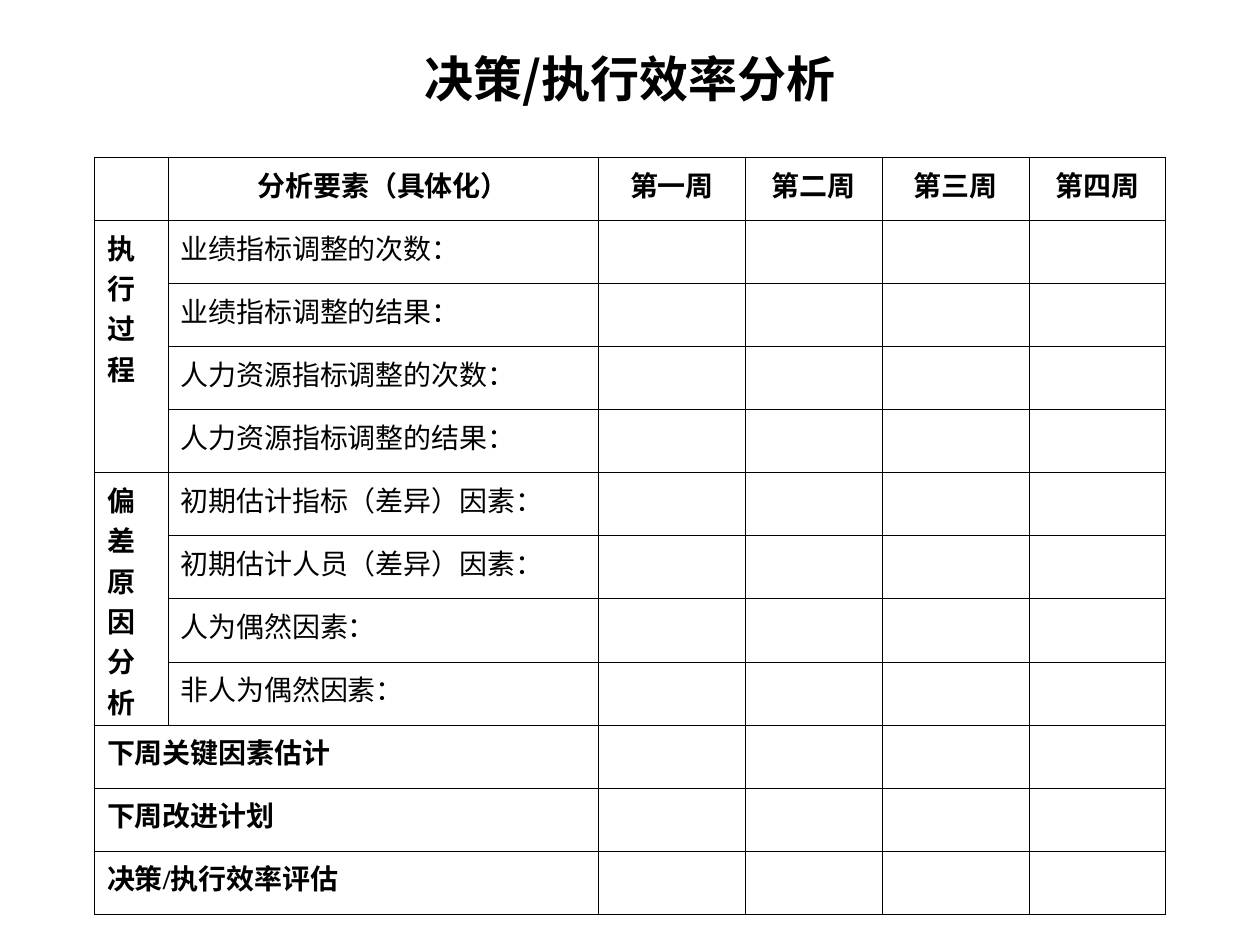
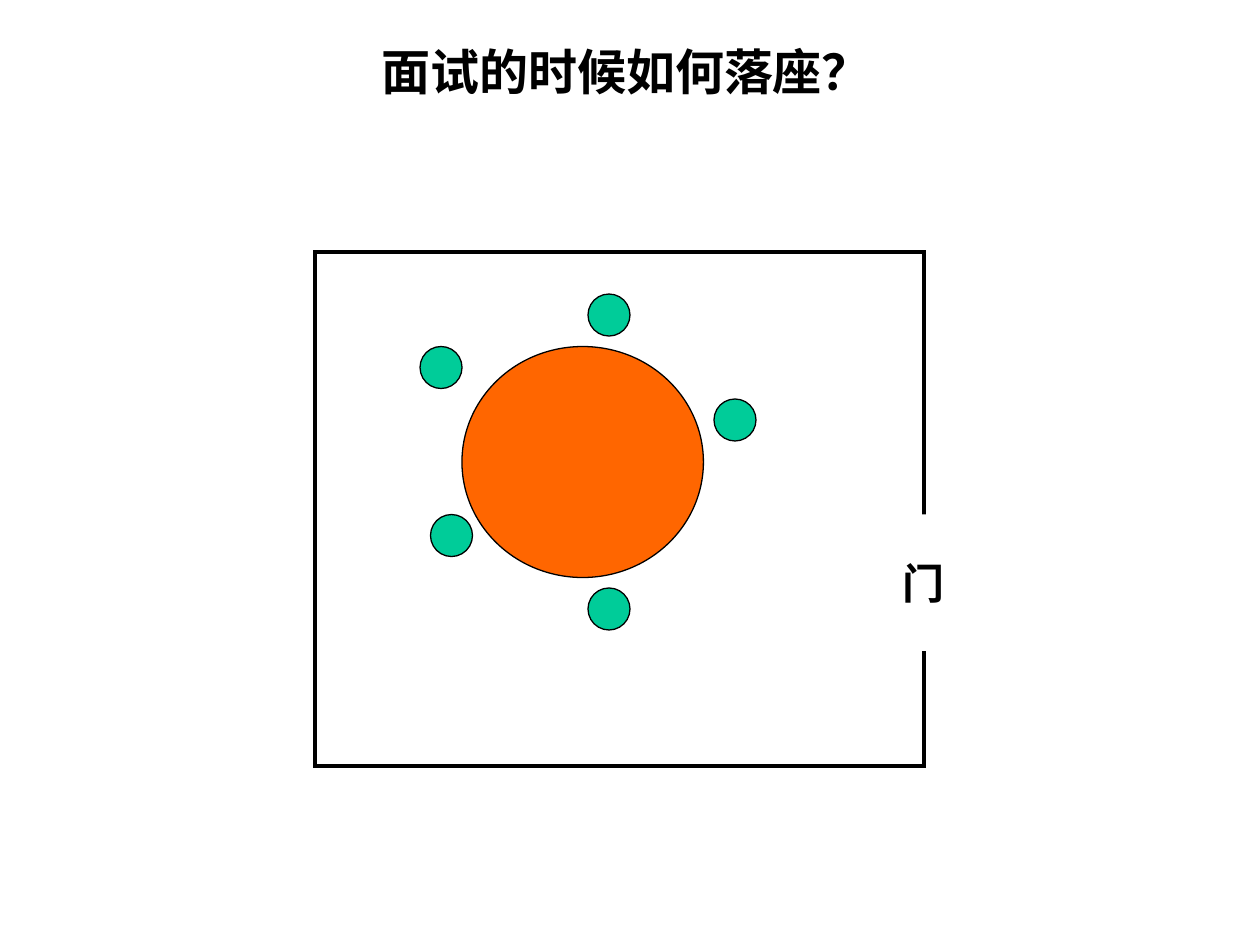
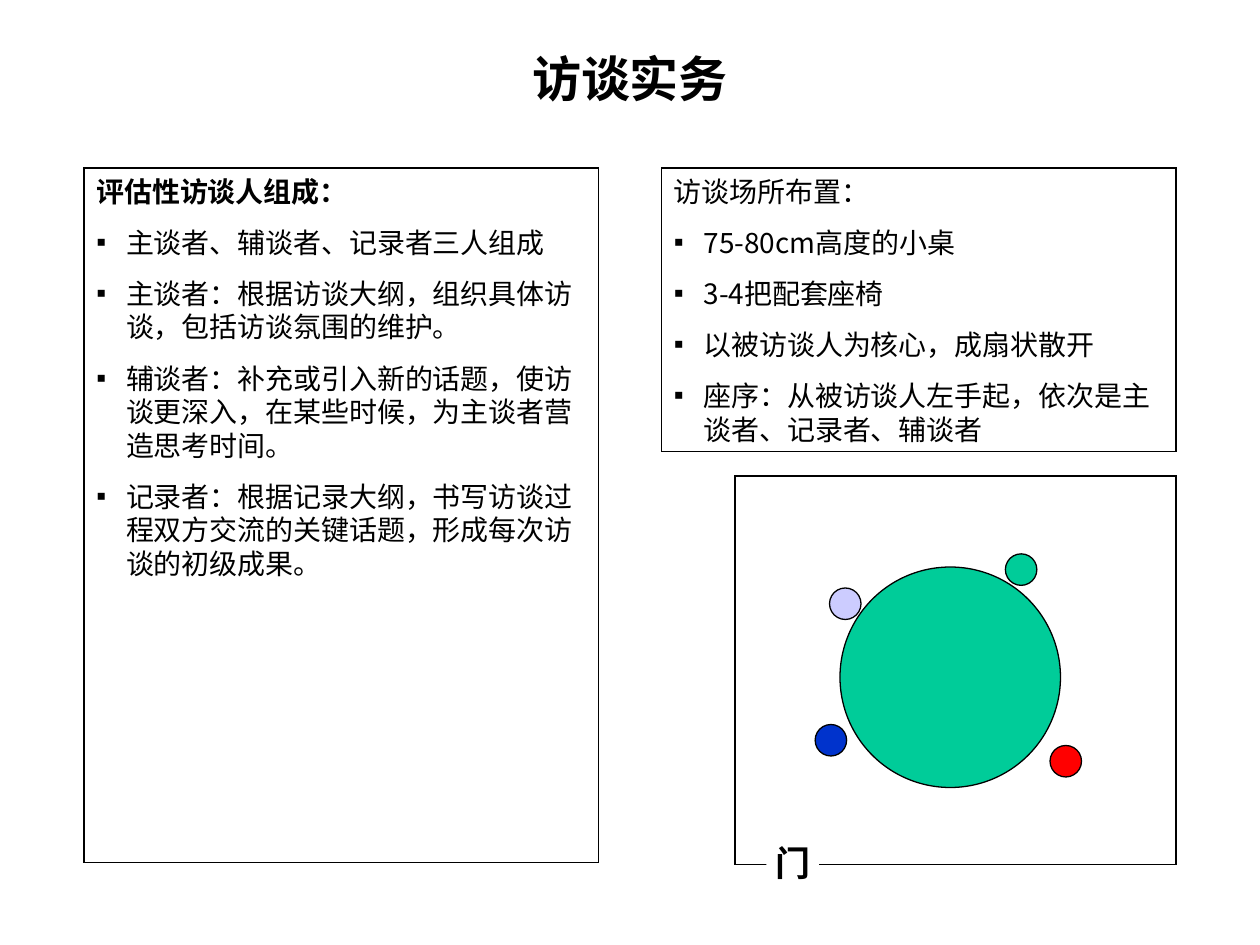
"""Build three slides on decision efficiency and interview practice."""
from lxml.etree import SubElement
from pptx import Presentation
from pptx.dml.color import RGBColor
from pptx.enum.shapes import MSO_SHAPE
from pptx.enum.text import MSO_ANCHOR, MSO_AUTO_SIZE, PP_ALIGN
from pptx.oxml.ns import qn
from pptx.util import Pt

COLORS = {"ink": "000000", "paper": "FFFFFF", "orange": "FF6600", "green": "00CC99",
          "red": "FF0000", "blue": "0033CC", "lilac": "CCCCFF"}
SANS, SERIF = "Noto Sans CJK SC", "Times New Roman"


def write(paragraph, text, size, font=SANS, bold=False, align=PP_ALIGN.LEFT):
    """Add one run of dark text to a paragraph."""
    paragraph.alignment = align
    run = paragraph.add_run()
    run.text = text
    run.font.size, run.font.name, run.font.bold = Pt(size), font, bold
    run.font.color.rgb = RGBColor.from_string(COLORS["ink"])
    SubElement(run.font._element, qn("a:ea"), typeface=SANS)


def draw(shapes, preset, bounds, fill=None, line_width=0.75):
    """Draw a preset shape at left, top, width and height."""
    shape = shapes.add_shape(preset, *map(Pt, bounds))
    shape.shadow.inherit = False
    if fill:
        shape.fill.solid()
        shape.fill.fore_color.rgb = RGBColor.from_string(COLORS[fill])
    else:
        shape.fill.background()
    if line_width:
        shape.line.width = Pt(line_width)
        shape.line.color.rgb = RGBColor.from_string(COLORS["ink"])
        SubElement(shape.line._get_or_add_ln(), qn("a:miter"), lim="800000")
    else:
        shape.line.fill.background()
    return shape


prs = Presentation()
prs.slide_width, prs.slide_height = Pt(720), Pt(540)

slides = []
for heading, bounds, align, wrap in [
    ("决策/执行效率分析", (84, 24, 552, 41), PP_ALIGN.CENTER, True),
    ("面试的时候如何落座？", (210.8, 20, 294, 41), PP_ALIGN.LEFT, False),
    ("访谈实务", (126, 24, 468, 41), PP_ALIGN.CENTER, True),
]:
    slide = prs.slides.add_slide(prs.slide_layouts[5])
    title = slide.shapes.title
    title.left, title.top, title.width, title.height = map(Pt, bounds)
    title.text_frame.auto_size = MSO_AUTO_SIZE.NONE
    title.text_frame.word_wrap = wrap
    title.text_frame.vertical_anchor = MSO_ANCHOR.MIDDLE
    write(title.text_frame.paragraphs[0], heading, 28, bold=True, align=align)
    slides.append(slide)
efficiency, seating, practice = slides

headers = ["", "分析要素（具体化）", "第一周", "第二周", "第三周", "第四周"]
sections = [
    ("执行过程", ["业绩指标调整的次数：", "业绩指标调整的结果：",
              "人力资源指标调整的次数：", "人力资源指标调整的结果："]),
    ("偏差原因分析", ["初期估计指标（差异）因素：", "初期估计人员（差异）因素：",
                "人为偶然因素：", "非人为偶然因素："]),
]
summaries = ["下周关键因素估计", "下周改进计划", "决策/执行效率评估"]
rows = [headers]
for section, factors in sections:
    rows += [[section if i == 0 else "", factor] for i, factor in enumerate(factors)]
rows += [[summary] for summary in summaries]

column_widths, row_height = [42, 246, 84, 78, 84, 78], 36.05
table = efficiency.shapes.add_table(
    len(rows), len(headers), Pt(54), Pt(90),
    Pt(sum(column_widths)), Pt(row_height * len(rows))).table
table.first_row = table.horz_banding = False
for column, width in zip(table.columns, column_widths):
    column.width = Pt(width)
for r, row in enumerate(rows):
    table.rows[r].height = Pt(row_height)
    for c in range(len(headers)):
        cell = table.cell(r, c)
        cell.margin_bottom = 0
        for side in ("lnL", "lnR", "lnT", "lnB"):
            border = SubElement(cell._tc.get_or_add_tcPr(), qn(f"a:{side}"), w=str(Pt(0.45)))
            SubElement(SubElement(border, qn("a:solidFill")), qn("a:srgbClr"), val=COLORS["ink"])
        cell.fill.solid()
        cell.fill.fore_color.rgb = RGBColor.from_string(COLORS["paper"])
        if c < len(row) and row[c]:
            write(cell.text_frame.paragraphs[0], row[c], 16, SERIF, bold=r == 0 or c == 0,
                  align=PP_ALIGN.CENTER if r == 0 else PP_ALIGN.LEFT)
for first in (1, 5):
    table.cell(first, 0).merge(table.cell(first + 3, 0))
for r in range(9, 12):
    table.cell(r, 0).merge(table.cell(r, 1))

panels = [
    ((48, 96, 294, 396.7), True, "评估性访谈人组成：", [
        "主谈者、辅谈者、记录者三人组成",
        "主谈者：根据访谈大纲，组织具体访谈，包括访谈氛围的维护。",
        "辅谈者：补充或引入新的话题，使访谈更深入，在某些时候，为主谈者营造思考时间。",
        "记录者：根据记录大纲，书写访谈过程双方交流的关键话题，形成每次访谈的初级成果。"]),
    ((378, 96, 294, 162), False, "访谈场所布置：", [
        "75-80cm高度的小桌", "3-4把配套座椅", "以被访谈人为核心，成扇状散开",
        "座序：从被访谈人左手起，依次是主谈者、记录者、辅谈者"]),
]
for bounds, bold, lead, points in panels:
    frame = draw(practice.shapes, MSO_SHAPE.RECTANGLE, bounds).text_frame
    frame.word_wrap = True
    frame.vertical_anchor = MSO_ANCHOR.TOP
    write(frame.paragraphs[0], lead, 16, bold=bold)
    for point in points:
        paragraph = frame.add_paragraph()
        paragraph.space_before = Pt(10)
        properties = paragraph._p.get_or_add_pPr()
        properties.set("marL", str(Pt(17)))
        properties.set("indent", str(Pt(-17)))
        SubElement(properties, qn("a:buFont"), typeface=SERIF)
        SubElement(properties, qn("a:buChar"), char="▪")
        write(paragraph, point, 16)

rooms = [
    (seating.shapes, (180, 144, 348, 294), 2.25, (516, 294, 24, 78), 24,
     (264, 198, 138, 132), "orange", 24,
     [(240, 198, "green"), (246, 294, "green"), (336, 336, "green"),
      (336, 168, "green"), (408, 228, "green")]),
    (practice.shapes.add_group_shape().shapes, (420, 272, 252, 222), 0.75, (438, 486, 30, 14), 20,
     (480, 324, 126, 126), "green", 18,
     [(600, 426, "red"), (465.8, 414, "blue"), (474, 336, "lilac"), (574.5, 316.5, "green")]),
]
for shapes, walls, wall_width, door, door_size, desk, desk_color, seat_size, seats in rooms:
    draw(shapes, MSO_SHAPE.RECTANGLE, walls, line_width=wall_width)
    doorway = draw(shapes, MSO_SHAPE.RECTANGLE, door, "paper", 0).text_frame
    doorway.word_wrap = False
    doorway.vertical_anchor = MSO_ANCHOR.MIDDLE
    write(doorway.paragraphs[0], "门", door_size, SERIF, True, PP_ALIGN.CENTER)
    draw(shapes, MSO_SHAPE.OVAL, desk, desk_color)
    for left, top, color in seats:
        draw(shapes, MSO_SHAPE.OVAL, (left, top, seat_size, seat_size), color)

prs.save("out.pptx")
